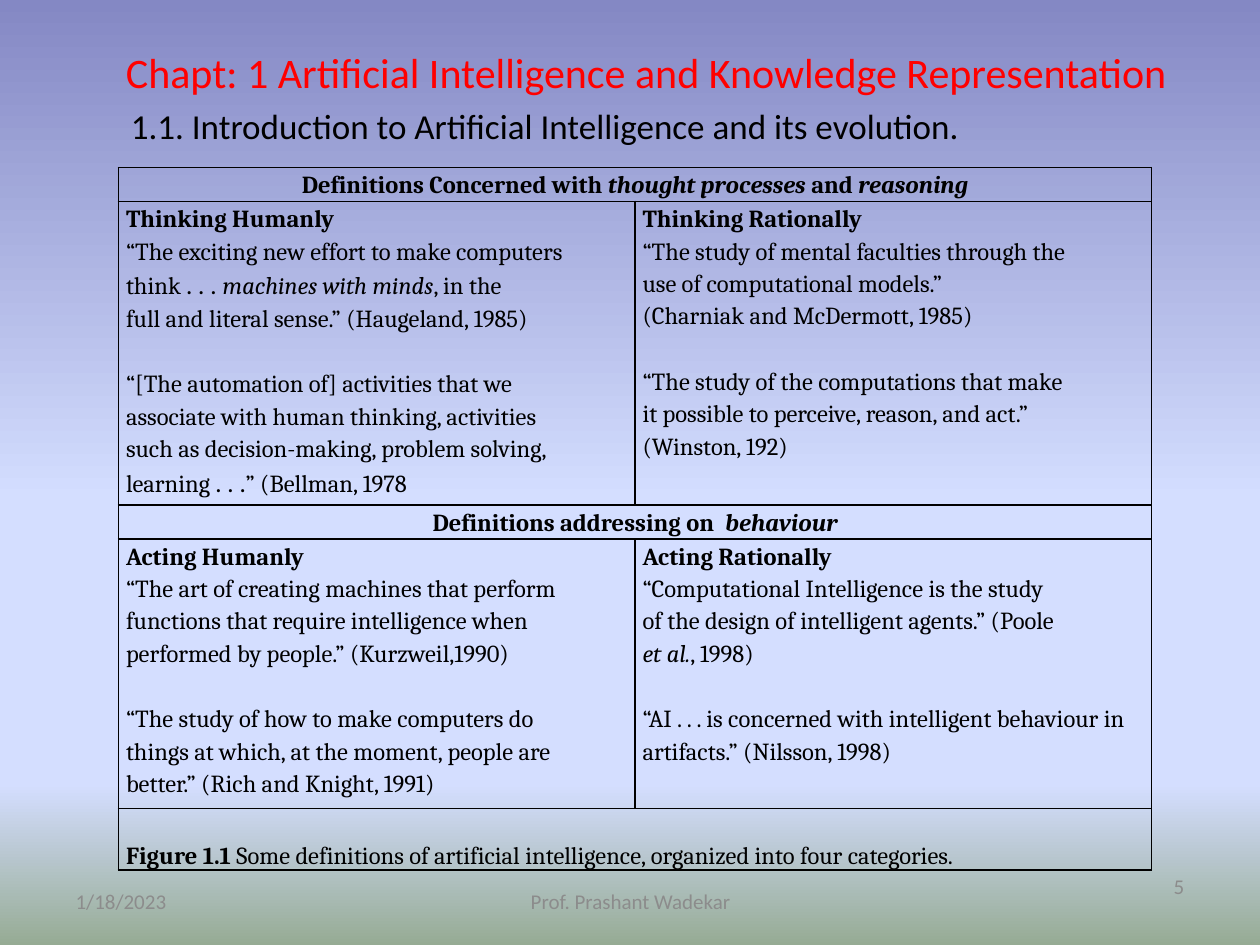
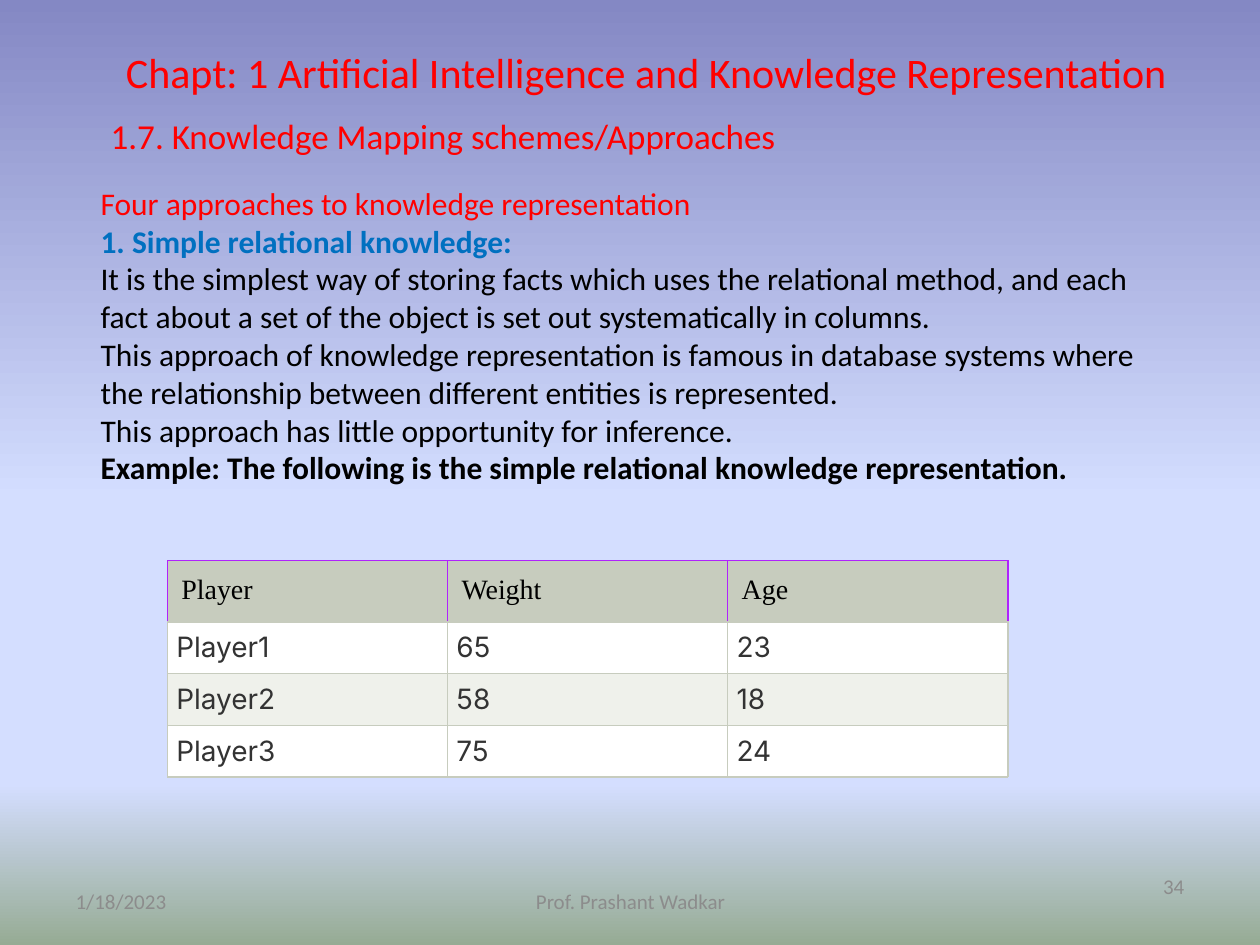
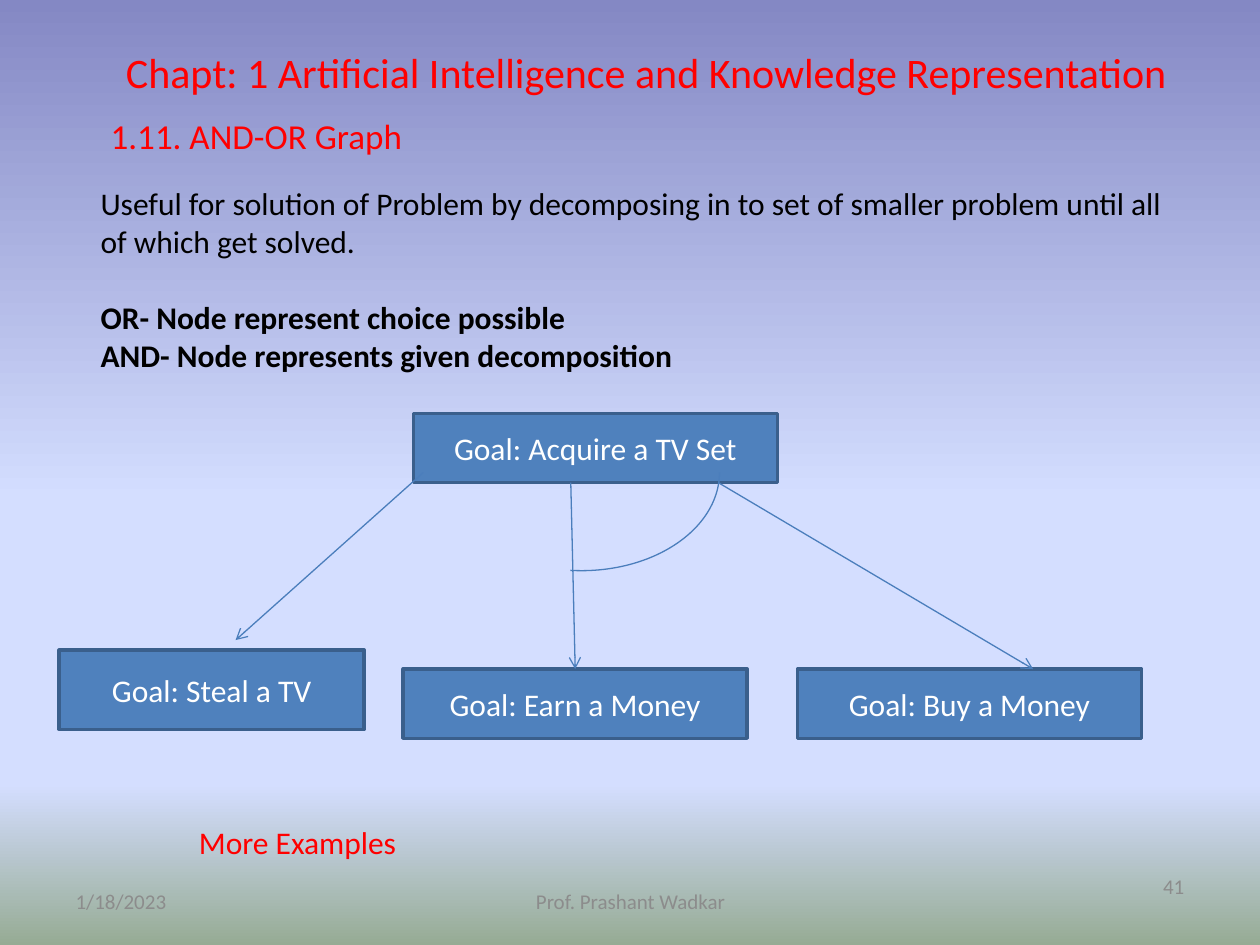
import copy
import dataclasses
import typing

import pptx
import pptx.dml.color
import pptx.enum.dml
import pptx.enum.shapes
import pptx.enum.text
import pptx.oxml
import pptx.oxml.ns
import pptx.util
from pptx.util import Inches

Align = pptx.enum.text.PP_ALIGN
Anchor = pptx.enum.text.MSO_ANCHOR
Shape = pptx.enum.shapes.MSO_SHAPE
qn = pptx.oxml.ns.qn
NAMESPACE = pptx.oxml.ns.nsdecls("a")


@dataclasses.dataclass(frozen=True)
class Theme:
    red: str = "FF0000"
    blue: str = "0070C0"
    black: str = "000000"
    white: str = "FFFFFF"
    footer: str = "8C8C8C"
    box_fill: str = "4F81BD"
    box_line: str = "3A5F8C"
    arrow: str = "4B7EBC"
    grid: str = "C7CCBE"
    header_line: str = "B022FC"
    stripe: str = "EFF1EB"
    value: str = "333333"
    background: tuple = ((0, "8488C4"), (53, "D4DEFF"), (83, "D4DEFF"), (100, "96AB94"))
    font: str = "Calibri"
    serif: str = "Cambria"
    dots: str = "Lato"
    header_font: str = "Times New Roman"
    value_font: str = "Inter"
    title_size: int = 24
    section_size: int = 20
    body_size: int = 18
    value_size: int = 16
    definition_size: int = 14
    footer_size: int = 12


@dataclasses.dataclass
class Para:
    text: typing.Any
    bold: bool = False
    color: typing.Optional[str] = None
    gap: float = 0


def rgb(value):
    return pptx.dml.color.RGBColor.from_string(value)


class Deck:
    CHAPTER = "Chapt: 1 Artificial Intelligence and Knowledge Representation"
    DATE = "1/18/2023"

    def __init__(self, theme):
        self.theme = theme
        self.presentation = pptx.Presentation()
        self.presentation.slide_width = Inches(10)
        self.presentation.slide_height = Inches(7.5)
        self.layout = self.presentation.slide_layouts.get_by_name("Title Only")
        self.slide = None
        self.paint_background()

    def paint_background(self):
        master = self.presentation.slide_master
        fill = master.background.fill
        fill.gradient()
        fill.gradient_angle = 270
        stops = master.element.find(".//" + qn("a:gsLst"))
        for stop in list(stops):
            stops.remove(stop)
        for position, color in self.theme.background:
            stops.append(pptx.oxml.parse_xml(
                f'<a:gs {NAMESPACE} pos="{position * 1000}"><a:srgbClr val="{color}"/></a:gs>'))

    def set_text(self, frame, paragraphs, size, color=None, font=None,
                 align=Align.LEFT, spacing=None):
        for index, content in enumerate(paragraphs):
            para = content if isinstance(content, Para) else Para(content)
            paragraph = frame.paragraphs[0] if index == 0 else frame.add_paragraph()
            paragraph.alignment = align
            if spacing:
                paragraph.line_spacing = spacing
            if para.gap:
                paragraph.space_before = pptx.util.Pt(para.gap)
            pieces = [(para.text, "")] if isinstance(para.text, str) else para.text
            for text, flags in pieces:
                run = paragraph.add_run()
                run.text = text
                run.font.size = pptx.util.Pt(size)
                run.font.name = self.theme.dots if "dots" in flags else font or self.theme.font
                run.font.bold = para.bold or "bold" in flags
                run.font.italic = "italic" in flags
                run.font.color.rgb = rgb(para.color or color or self.theme.black)

    def place(self, shape, left, top, width, height):
        shape.left, shape.top = Inches(left), Inches(top)
        shape.width, shape.height = Inches(width), Inches(height)

    def start_slide(self, number, author):
        theme = self.theme
        self.slide = self.presentation.slides.add_slide(self.layout)
        title = self.slide.shapes.title
        self.place(title, 0.78, 0.31, 8.7, 0.52)
        title.text_frame.vertical_anchor = Anchor.MIDDLE
        title.text_frame.auto_size = pptx.enum.text.MSO_AUTO_SIZE.NONE
        self.set_text(title.text_frame, [self.CHAPTER], theme.title_size, theme.red,
                      align=Align.CENTER)
        footers = {
            10: (self.DATE, 0.5, 6.95, 2.33, Align.LEFT),
            11: (author, 3.42, 6.95, 3.17, Align.CENTER),
            12: (number, 7.17, 6.83, 2.33, Align.RIGHT),
        }
        for source in self.layout.placeholders:
            index = source.placeholder_format.idx
            if index not in footers:
                continue
            text, left, top, width, align = footers[index]
            self.slide.shapes.element.append(copy.deepcopy(source.element))
            footer = self.slide.placeholders[index]
            self.place(footer, left, top, width, 0.4)
            footer.text_frame.text = ""
            footer.text_frame.vertical_anchor = Anchor.MIDDLE
            self.set_text(footer.text_frame, [text], theme.footer_size, theme.footer, align=align)

    def text(self, paragraphs, left, top, width, height, size=None, color=None, wrap=True):
        box = self.slide.shapes.add_textbox(
            Inches(left), Inches(top), Inches(width), Inches(height))
        box.text_frame.word_wrap = wrap
        self.set_text(box.text_frame, paragraphs, size or self.theme.body_size, color)

    def section(self, text, left=0.78, top=0.86, color=None):
        self.text([text], left, top, 8.91, 0.44, self.theme.section_size,
                  color or self.theme.red)

    def body(self, paragraphs, height):
        self.text(paragraphs, 0.7, 1.41, 8.67, height)

    def table(self, left, top, width, rows, columns):
        frame = self.slide.shapes.add_table(
            len(rows), columns, Inches(left), Inches(top), Inches(width), Inches(sum(rows)))
        table = frame.table
        table.first_row = table.horz_banding = False
        for row, height in zip(table.rows, rows):
            row.height = Inches(height)
        return table

    def cell(self, cell, margins, borders, width, fill=None):
        cell.margin_left = cell.margin_right = Inches(margins[0])
        cell.margin_top = cell.margin_bottom = Inches(margins[1])
        if fill:
            cell.fill.solid()
            cell.fill.fore_color.rgb = rgb(fill)
        else:
            cell.fill.background()
        properties = cell._tc.get_or_add_tcPr()
        for index, (side, color) in enumerate(zip("LRTB", borders)):
            properties.insert(index, pptx.oxml.parse_xml(
                f'<a:ln{side} {NAMESPACE} w="{pptx.util.Pt(width)}"><a:solidFill>'
                f'<a:srgbClr val="{color}"/></a:solidFill></a:ln{side}>'))

    def box(self, text, left, top, width, height):
        theme = self.theme
        box = self.slide.shapes.add_shape(
            Shape.RECTANGLE, Inches(left), Inches(top), Inches(width), Inches(height))
        box.shadow.inherit = False
        box.fill.solid()
        box.fill.fore_color.rgb = rgb(theme.box_fill)
        box.line.color.rgb = rgb(theme.box_line)
        box.line.width = pptx.util.Pt(2)
        box.text_frame.vertical_anchor = Anchor.MIDDLE
        self.set_text(box.text_frame, [text], theme.body_size, theme.white, align=Align.CENTER)
        return box

    def outline(self, shape):
        shape.line.color.rgb = rgb(self.theme.arrow)
        shape.line.width = pptx.util.Pt(0.75)

    def arrow(self, start, end, target=None):
        arrow = self.slide.shapes.add_connector(
            pptx.enum.shapes.MSO_CONNECTOR.STRAIGHT, *map(Inches, start + end))
        if target:
            arrow.end_connect(target, 0)
        self.outline(arrow)
        arrow.line._get_or_add_ln().append(
            pptx.oxml.parse_xml(f'<a:tailEnd {NAMESPACE} type="arrow"/>'))
        arrow.element.spPr.append(pptx.oxml.parse_xml(f"<a:effectLst {NAMESPACE}/>"))

    def arc(self, left, top, width, height, start):
        arc = self.slide.shapes.add_shape(
            Shape.ARC, Inches(left), Inches(top), Inches(width), Inches(height))
        arc.adjustments[0] = start
        arc.adjustments[1] = 0
        arc.element.spPr.find(qn("a:xfrm")).set("flipV", "1")
        arc.shadow.inherit = False
        arc.fill.background()
        self.outline(arc)


def definitions_slide(deck):
    theme = deck.theme
    deck.start_slide("5", "Prof. Prashant Wadekar")
    deck.section("1.1. Introduction to Artificial Intelligence and its evolution.",
                 0.94, 0.78, theme.black)
    blank_line = 19
    thinking_humanly = [
        Para("Thinking Humanly", bold=True),
        "“The exciting new effort to make computers",
        [("think ", ""), (". . . ", "dots"), ("machines with minds", "italic"), (", in the", "")],
        "full and literal sense.” (Haugeland, 1985)",
        Para("“[The automation of] activities that we", gap=blank_line),
        "associate with human thinking, activities",
        "such as decision-making, problem solving,",
        [("learning ", ""), (". . .", "dots"), ("” (Bellman, 1978", "")],
    ]
    thinking_rationally = [
        Para("Thinking Rationally", bold=True),
        "“The study of mental faculties through the",
        "use of computational models.”",
        "(Charniak and McDermott, 1985)",
        Para("“The study of the computations that make", gap=blank_line),
        "it possible to perceive, reason, and act.”",
        "(Winston, 192)",
    ]
    acting_humanly = [
        Para("Acting Humanly", bold=True),
        "“The art of creating machines that perform",
        "functions that require intelligence when performed by people.” (Kurzweil,1990)",
        Para("“The study of how to make computers do", gap=blank_line),
        "things at which, at the moment, people are",
        "better.” (Rich and Knight, 1991)",
    ]
    acting_rationally = [
        Para("Acting Rationally", bold=True),
        "“Computational Intelligence is the study",
        "of the design of intelligent agents.” (Poole",
        [("et al.", "italic"), (", 1998)", "")],
        Para("“AI . . . is concerned with intelligent behaviour in artifacts.” (Nilsson, 1998)",
             gap=blank_line),
    ]
    thought_heading = Para([("Definitions Concerned with ", ""), ("thought processes ", "italic"),
                            ("and ", ""), ("reasoning", "italic")], bold=True)
    behaviour_heading = Para([("Definitions addressing on  ", ""), ("behaviour", "italic")],
                             bold=True)
    caption = [("Figure 1.1 ", "bold"),
               ("Some definitions of artificial intelligence, organized into four categories.", "")]
    contents = [
        [[thought_heading]],
        [thinking_humanly, thinking_rationally],
        [[behaviour_heading]],
        [acting_humanly, acting_rationally],
        [[caption]],
    ]
    definitions = deck.table(0.94, 1.33, 8.2, [0.26, 2.4, 0.26, 2.14, 0.49], 2)
    for row, entries in enumerate(contents):
        for column in range(2):
            deck.cell(definitions.cell(row, column), (0.06, 0), [theme.black] * 4, 1)
        if len(entries) == 1:
            definitions.cell(row, 0).merge(definitions.cell(row, 1))
        align = Align.CENTER if row in (0, 2) else Align.LEFT
        for column, paragraphs in enumerate(entries):
            deck.set_text(definitions.cell(row, column).text_frame, paragraphs,
                          theme.definition_size, font=theme.serif, align=align, spacing=1.15)
    definitions.cell(4, 0).vertical_anchor = Anchor.BOTTOM


def relational_slide(deck):
    theme = deck.theme
    deck.start_slide("34", "Prof. Prashant Wadkar")
    deck.section("1.7. Knowledge Mapping schemes/Approaches")
    deck.body([
        Para("Four approaches to knowledge representation", color=theme.red),
        Para("1. Simple relational knowledge:", bold=True, color=theme.blue),
        "It is the simplest way of storing facts which uses the relational method, and each "
        "fact about a set of the object is set out systematically in columns.",
        "This approach of knowledge representation is famous in database systems where the "
        "relationship between different entities is represented.",
        "This approach has little opportunity for inference.",
        Para("Example: The following is the simple relational knowledge representation.",
             bold=True),
    ], 2.52)
    records = [
        ("Player", "Weight", "Age"),
        ("Player1", "65", "23"),
        ("Player2", "58", "18"),
        ("Player3", "75", "24"),
    ]
    players = deck.table(1.33, 4.45, 6.67, [0.48, 0.41, 0.41, 0.41], 3)
    for row, record in enumerate(records):
        for column, value in enumerate(record):
            cell = players.cell(row, column)
            if row == 0:
                deck.cell(cell, (0.11, 0.11), [theme.header_line] * 3 + [theme.grid],
                          0.75, theme.grid)
                deck.set_text(cell.text_frame, [value], theme.value_size, font=theme.header_font)
            else:
                deck.cell(cell, (0.07, 0.07), [theme.grid] * 4, 0.75,
                          theme.white if row % 2 else theme.stripe)
                deck.set_text(cell.text_frame, [value], theme.value_size, theme.value,
                              theme.value_font, Align.JUSTIFY)


def graph_slide(deck):
    deck.start_slide("41", "Prof. Prashant Wadkar")
    deck.section("1.11. AND-OR Graph")
    deck.body([
        "Useful for solution of Problem by decomposing in to set of smaller problem until all "
        "of which get solved.",
        Para("OR- Node represent choice possible", bold=True, gap=22),
        Para("AND- Node represents given decomposition", bold=True),
    ], 1.92)
    deck.box("Goal: Acquire a TV Set", 3.28, 3.28, 2.89, 0.55)
    deck.box("Goal: Steal a TV", 0.47, 5.16, 2.42, 0.63)
    deck.box("Goal: Buy a Money", 6.33, 5.31, 2.73, 0.55)
    earn = deck.box("Goal: Earn a Money", 3.2, 5.31, 2.73, 0.55)
    deck.arrow((3.36, 3.75), (1.87, 5.08))
    deck.arrow((5.7, 3.83), (8.2, 5.31))
    deck.arrow((4.53, 3.83), (4.57, 5.31), earn)
    deck.arc(3.52, 2.97, 2.19, 1.56, 158.15)
    deck.text(["More Examples"], 1.48, 6.48, 1.78, 0.4, color=deck.theme.red, wrap=False)


def main():
    deck = Deck(Theme())
    definitions_slide(deck)
    relational_slide(deck)
    graph_slide(deck)
    deck.presentation.save("out.pptx")


if __name__ == "__main__":
    main()
